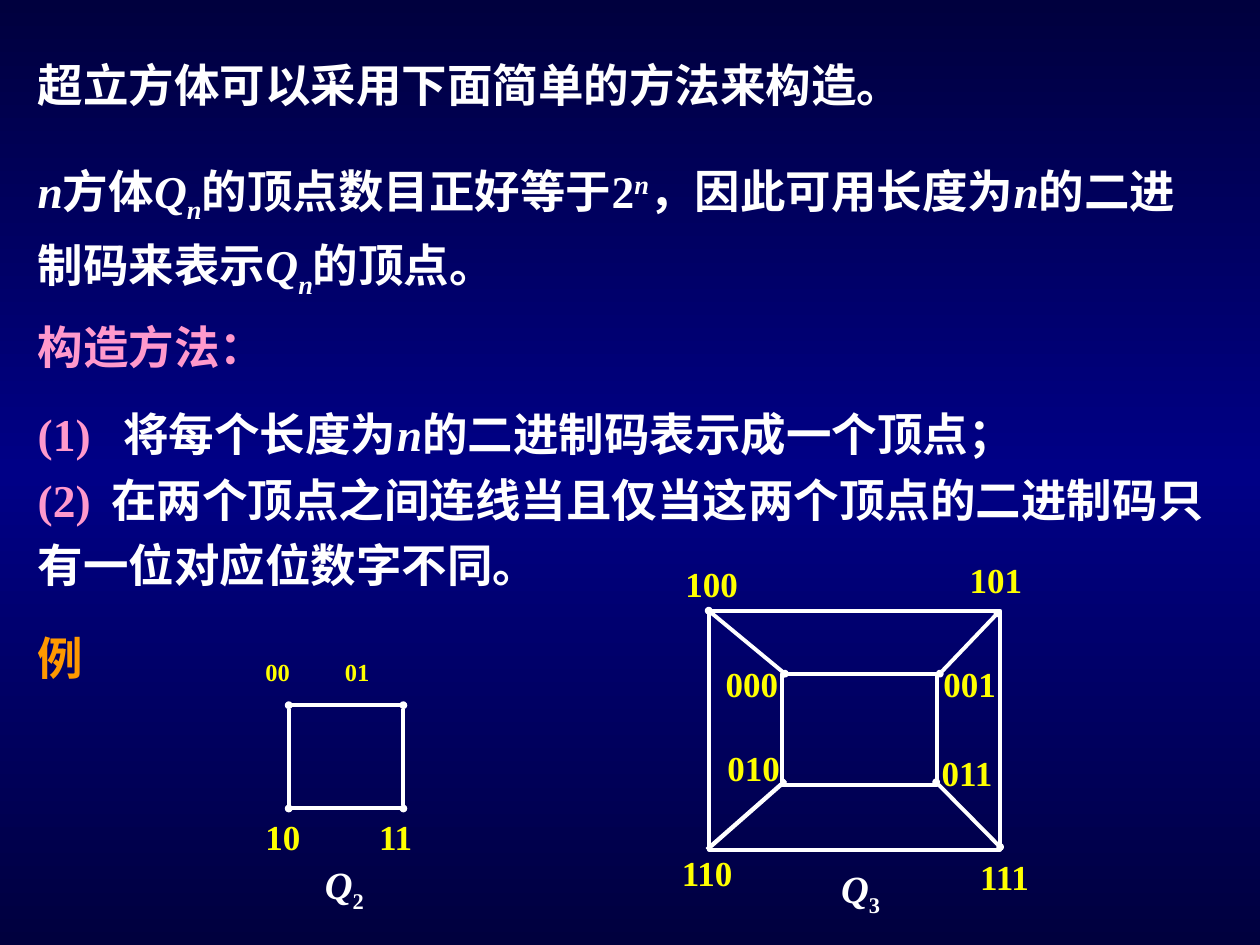
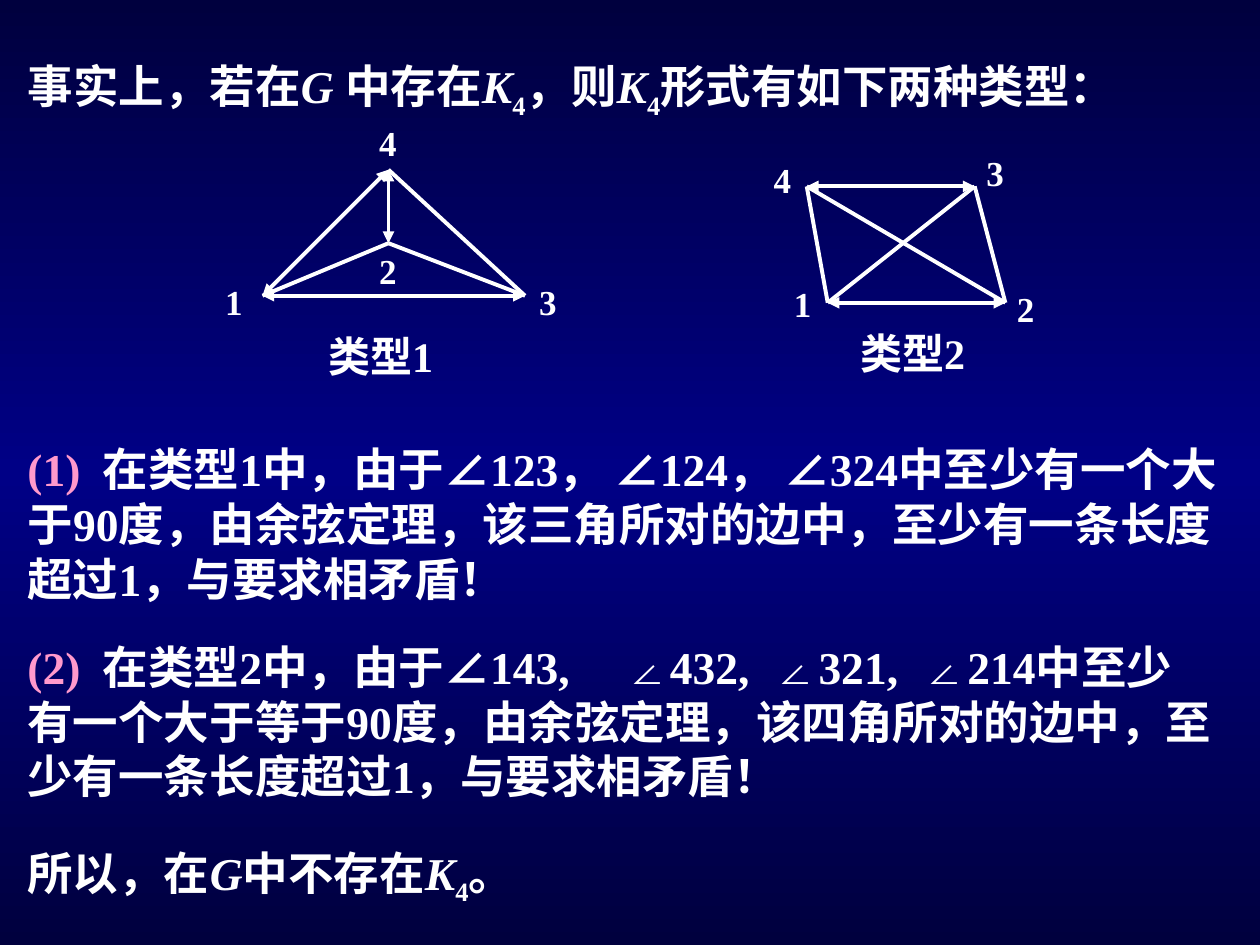
from copy import deepcopy

from lxml import etree
from pptx import Presentation
from pptx.dml.color import RGBColor
from pptx.enum import shapes, text
from pptx.oxml.ns import qn
from pptx.util import Pt

HUES = {"edge": "00003E", "mid": "000086", "white": "FFFFFF",
        "pink": "FF99CC", "gold": "FF9900", "lemon": "FFFF00"}
LATIN, HAN = "Times New Roman", "Noto Sans CJK SC"
BODY, NODE, NAME = 26, 20, 22
SUB, SUP = -25000, 30000


def hue(name):
    """Return the named colour."""
    return RGBColor.from_string(HUES[name])


def it(word):
    """Describe an italic run."""
    return {"text": word, "italic": True}


def low(word, italic=False):
    """Describe a subscript run."""
    return {"text": word, "italic": italic, "base": SUB}


def high(word):
    """Describe an italic superscript run."""
    return {"text": word, "italic": True, "base": SUP}


def pink(word):
    """Describe a pink run."""
    return {"text": word, "color": "pink"}


def add_page(deck):
    """Add a blank slide with the dark blue gradient."""
    page = deck.slides.add_slide(deck.slide_layouts[6])
    fill = page.background.fill
    fill.gradient()
    fill.gradient_angle = 270
    stops = page.element.find(".//" + qn("a:gsLst"))
    stops.append(deepcopy(stops[0]))
    for stop, (place, name) in zip(fill.gradient_stops,
                                   ((0, "edge"), (0.5, "mid"), (1, "edge"))):
        stop.position = place
        stop.color.rgb = hue(name)
    return page


def add_runs(para, runs, color):
    """Fill a paragraph with plain strings and described runs."""
    for item in runs:
        part = {"text": item} if isinstance(item, str) else item
        run = para.add_run()
        run.text = part["text"]
        run.font.color.rgb = hue(part.get("color", color))
        if part.get("italic"):
            run.font.italic = True
        if "base" in part:
            run._r.get_or_add_rPr().set("baseline", str(part["base"]))


def set_font(para, size, tabs):
    """Set the shared font and the tab stops of a paragraph."""
    font = para.font
    font.size, font.name, font.bold = Pt(size), LATIN, True
    props = para._p.pPr.find(qn("a:defRPr"))
    etree.SubElement(props, qn("a:ea")).set("typeface", HAN)
    if tabs:
        stops = etree.Element(qn("a:tabLst"))
        for place in tabs:
            stop = etree.SubElement(stops, qn("a:tab"))
            stop.set("pos", str(Pt(place)))
            stop.set("algn", "l")
        props.addprevious(stops)


def add_text(page, box, paras, size=BODY, color="white", space=None,
             mid=False, tabs=()):
    """Add a text box, one list of runs and one list of tabs a paragraph."""
    frame = page.shapes.add_textbox(*map(Pt, box)).text_frame
    frame.word_wrap = True
    frame.vertical_anchor = text.MSO_ANCHOR.MIDDLE if mid else text.MSO_ANCHOR.TOP
    for n, runs in enumerate(paras):
        para = frame.add_paragraph() if n else frame.paragraphs[0]
        if space:
            para.line_spacing = space
        set_font(para, size, tabs[n] if tabs else ())
        add_runs(para, runs, color)


def add_tags(page, tags, color, size=NODE, width=51):
    """Add short labels at their left and top."""
    for word, left, top in tags:
        add_text(page, (left, top, width, 32), [[word]], size, color)


def add_edge(page, start, end, tip=None, width=2.25):
    """Draw a white line with the same tip at both ends."""
    edge = page.shapes.add_connector(shapes.MSO_CONNECTOR.STRAIGHT,
                                     *map(Pt, (*start, *end)))
    edge.line.color.rgb = hue("white")
    edge.line.width = Pt(width)
    if tip:
        scale = "sm" if tip == "oval" else "med"
        line = edge._element.spPr.find(qn("a:ln"))
        for side in ("a:headEnd", "a:tailEnd"):
            mark = etree.SubElement(line, qn(side))
            for key, value in (("type", tip), ("w", scale), ("len", scale)):
                mark.set(key, value)
    etree.SubElement(edge._element.spPr, qn("a:effectLst"))


def add_frame(page, box):
    """Draw a white rectangle without fill."""
    frame = page.shapes.add_shape(shapes.MSO_SHAPE.RECTANGLE, *map(Pt, box))
    frame.shadow.inherit = False
    frame.fill.background()
    frame.line.color.rgb = hue("white")
    frame.line.width = Pt(2.25)


def add_graph(page, nodes, plain, arrows):
    """Draw a graph with plain and two-way edges such as '12'."""
    for pairs, tip in ((plain, None), (arrows, "triangle")):
        for a, b in pairs:
            add_edge(page, nodes[a], nodes[b], tip)


def draw_square(page):
    """Draw the square Q2."""
    left, right, top, base = 165, 230.5, 403, 462
    for x in (left, right):
        add_edge(page, (x, top), (x, base), "oval")
    for y in (top, base - 0.5):
        add_edge(page, (left, y), (right + 1, y))
    add_tags(page, (("00", 144.5, 372), ("01", 190, 372)), "lemon", 14)
    add_tags(page, (("10", 144.5, 462.5), ("11", 209.5, 462.5)), "lemon")
    add_text(page, (178.5, 488.5, 46, 37), [[it("Q"), low("2")]], NAME)


def draw_cube(page):
    """Draw the cube Q3."""
    add_frame(page, (405, 349, 166.5, 136.5))
    add_frame(page, (447, 385, 88.5, 63.5))
    for start, end in (((405, 349), (448.5, 385)),
                       ((535, 447), (571.5, 484)),
                       ((570, 350.5), (537, 385))):
        add_edge(page, start, end, "oval")
    add_edge(page, (449, 446), (404, 485.5), width=2.5)
    add_tags(page, (("100", 384.5, 318), ("101", 547, 315.5),
                    ("110", 382.5, 483), ("111", 553, 485.5),
                    ("000", 407.5, 375), ("010", 408.5, 423),
                    ("001", 532, 375), ("011", 531, 426)), "lemon")
    add_text(page, (473.5, 491, 46, 37), [[it("Q"), low("3")]], NAME)


def fill_cubes(page):
    """Fill the slide on building hypercubes."""
    left = 14.4
    cube = [it("Q"), low("n", True)]
    add_text(page, (left, 29, 612, 39), [["超立方体可以采用下面简单的方法来构造。"]])
    add_text(page, (left, 82.5, 680, 93),
             [[it("n"), "方体", *cube, "的顶点数目正好等于2", high("n"),
               "，因此可用长度为", it("n"), "的二进制码来表示", *cube, "的顶点。"]],
             space=1.2)
    add_text(page, (left, 179, 680, 39), [["构造方法："]], color="pink")
    add_text(page, (left, 222.5, 686, 120),
             [[pink("(1)\t"), "将每个长度为", it("n"), "的二进制码表示成一个顶点；"],
              [pink("(2)\t"), "在两个顶点之间连线当且仅当这两个顶点的"
               "二进制码只有一位对应位数字不同。"]],
             space=1.2, tabs=((49,), (42,)))
    add_text(page, (left, 356.5, 64, 39), [["例"]], color="gold")
    draw_square(page)
    draw_cube(page)


def fill_types(page):
    """Fill the slide on the two types of K4."""
    left = 8.64
    k4 = [it("K"), low("4")]
    add_text(page, (left, 29.5, 630, 43),
             [["事实上，若在", it("G "), "中存在", *k4, "，则", *k4,
               "形式有如下两种类型："]], mid=True)
    add_graph(page, {"1": (150, 169), "2": (222, 139), "3": (300, 169),
                     "4": (222, 97)}, ("43", "12", "23"), ("41", "13", "42"))
    add_graph(page, {"1": (473, 173), "2": (574.5, 173), "3": (557, 106.5),
                     "4": (461, 106.5)}, ("41", "32", "31", "42"), ("43", "12"))
    add_tags(page, (("1", 121.5, 157), ("2", 209.5, 139), ("3", 301, 157),
                    ("4", 209.5, 66), ("1", 446.5, 158), ("2", 574, 160.5),
                    ("3", 556.5, 83), ("4", 435, 87)), "white")
    add_tags(page, (("类型1", 180.5, 185.5), ("类型2", 484.5, 183.5)),
             "white", 24, 103)
    add_text(page, (left, 248.5, 698, 101),
             [[pink("(1)\t"), "在类型1中，由于∠123， ∠124， ∠324中至少有一个"
               "大于90度，由余弦定理，该三角所对的边中，至少有一条长度超过1，"
               "与要求相矛盾！"]], mid=True, tabs=((43,),))
    add_text(page, (left, 361.5, 692, 101),
             [[pink("(2)\t"), "在类型2中，由于∠143,\t∠432,\t∠321,\t∠214中至少"
               "有一个大于等于90度，由余弦定理，该四角所对的边中，"
               "至少有一条长度超过1，与要求相矛盾！"]],
             mid=True, tabs=((43, 341, 426, 511),))
    add_text(page, (left, 479, 582, 43),
             [["所以，在", it("G"), "中不存在", *k4, "。"]], mid=True)


def main():
    """Build and save the deck."""
    deck = Presentation()
    deck.slide_width, deck.slide_height = Pt(720), Pt(540)
    fill_cubes(add_page(deck))
    fill_types(add_page(deck))
    deck.save("out.pptx")


if __name__ == "__main__":
    main()
